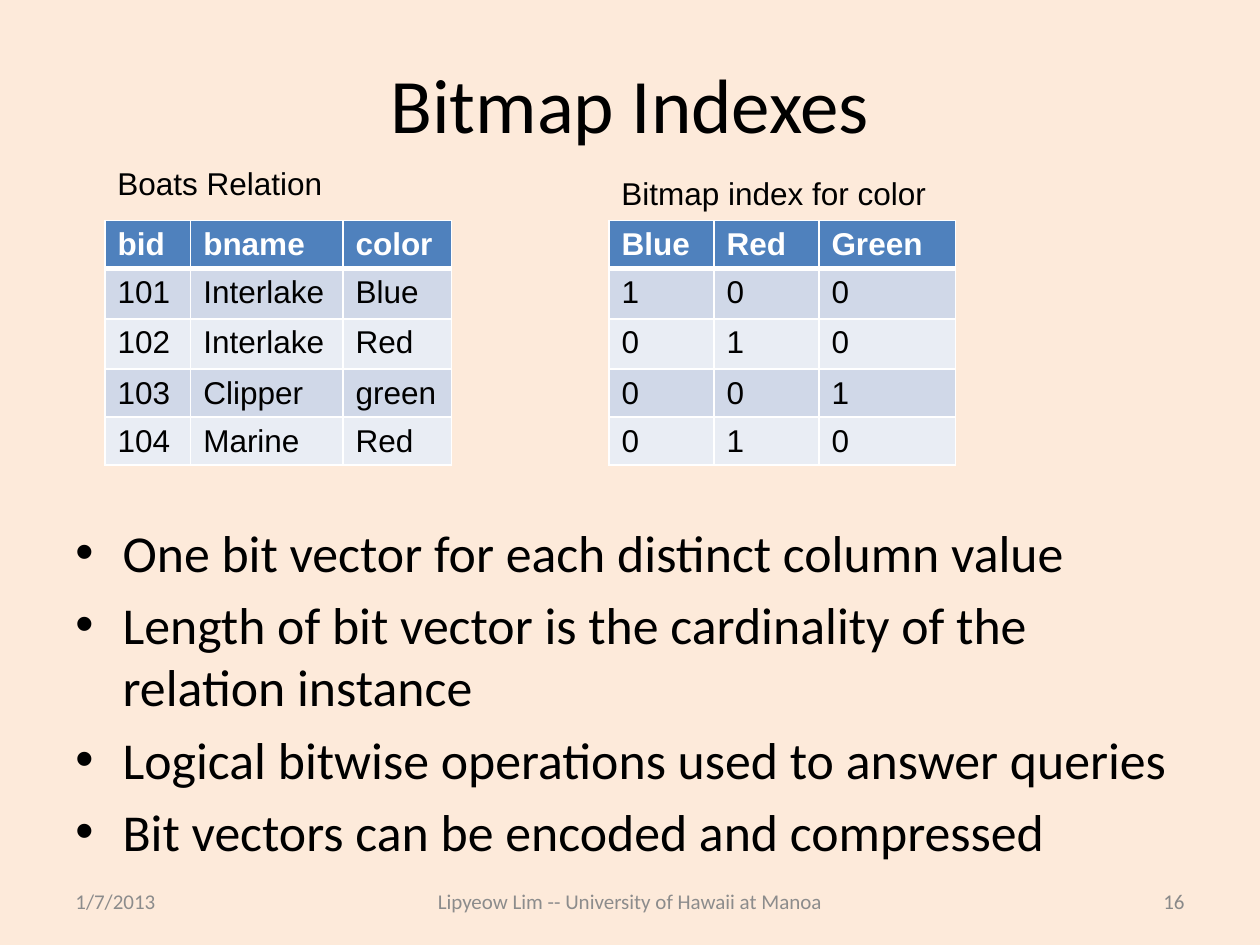
"""Build a slide on bitmap indexes."""
import dataclasses

import pptx
import pptx.dml.color
import pptx.enum.text
import pptx.oxml
import pptx.oxml.ns
import pptx.util

Pt = pptx.util.Pt
Align = pptx.enum.text.PP_ALIGN
Anchor = pptx.enum.text.MSO_ANCHOR
Wrap = pptx.enum.text.MSO_AUTO_SIZE


@dataclasses.dataclass(frozen=True)
class Theme:
    back: str = "FDEADA"
    ink: str = "000000"
    white: str = "FFFFFF"
    head: str = "4F81BD"
    bands: tuple = ("D0D8E8", "E9EDF4")
    gray: str = "8C8C8C"
    page: str = "898989"
    main: str = "Calibri"
    plain: str = "Arial"
    title: float = 44
    body: float = 29.6
    label: float = 18
    foot: float = 12


def tint(code):
    return pptx.dml.color.RGBColor.from_string(code)


def node(tag, inner="", **attrs):
    pairs = "".join(f' {key}="{val}"' for key, val in attrs.items())
    space = pptx.oxml.ns.nsdecls("a")
    return pptx.oxml.parse_xml(f"<a:{tag} {space}{pairs}>{inner}</a:{tag}>")


def write(frame, text, *, size, color, font, bold=False, align=Align.LEFT, bullet=False):
    for num, line in enumerate(text.split("\n")):
        para = frame.add_paragraph() if num else frame.paragraphs[0]
        para.alignment = align
        if bullet:
            props = para._p.get_or_add_pPr()
            props.set("marL", str(Pt(27)))
            props.set("indent", str(-Pt(27)))
            props.append(node("buFont", typeface="Arial"))
            props.append(node("buChar", char="•"))
            if num:
                para.space_before = Pt(5.9)
        run = para.add_run()
        run.text = line
        run.font.size = Pt(size)
        run.font.name = font
        run.font.bold = bold
        run.font.color.rgb = tint(color)


class Deck:
    def __init__(self, theme):
        self.theme = theme
        self.show = pptx.Presentation()
        self.show.slide_width, self.show.slide_height = Pt(720), Pt(540)
        self.slide = self.show.slides.add_slide(self.show.slide_layouts[6])
        fill = self.slide.background.fill
        fill.solid()
        fill.fore_color.rgb = tint(theme.back)

    def text(self, box, words, anchor=Anchor.TOP, wrap=True, **form):
        frame = self.slide.shapes.add_textbox(*map(Pt, box)).text_frame
        frame.word_wrap = wrap
        frame.vertical_anchor = anchor
        frame.auto_size = Wrap.NONE if wrap else Wrap.SHAPE_TO_FIT_TEXT
        write(frame, words, **form)

    def label(self, box, words):
        look = self.theme
        self.text(box, words, wrap=False, size=look.label, color=look.ink, font=look.plain)

    def foot(self, left, width, words, color, align):
        look = self.theme
        self.text((left, 500.4, width, 28.8), words, Anchor.MIDDLE,
                  size=look.foot, color=color, font=look.main, align=align)

    def edge(self, cell, row):
        line = f'<a:solidFill><a:srgbClr val="{self.theme.white}"/></a:solidFill>'
        heavy = {0: "lnB", 1: "lnT"}.get(row)
        props = cell._tc.get_or_add_tcPr()
        for spot, side in enumerate(("lnL", "lnR", "lnT", "lnB")):
            width = Pt(3 if side == heavy else 1)
            props.insert(spot, node(side, line, w=width))

    def table(self, left, widths, rows):
        look = self.theme
        high = Pt(144.72)
        frame = self.slide.shapes.add_table(
            len(rows), len(widths), Pt(left), Pt(126), Pt(sum(widths)), high)
        grid = frame.table
        for col, width in zip(grid.columns, widths):
            col.width = Pt(width)
        for row, tall in zip(grid.rows, (22.32, 28.8, 28.8, 22.32, 22.32)):
            row.height = Pt(tall)
        frame.height = high
        for y, row in enumerate(rows):
            top = y == 0
            for x, word in enumerate(row):
                cell = grid.cell(y, x)
                cell.fill.solid()
                cell.fill.fore_color.rgb = tint(look.head if top else look.bands[(y - 1) % 2])
                self.edge(cell, y)
                write(cell.text_frame, word, size=look.label, font=look.plain,
                      color=look.white if top else look.ink, bold=top)


def main():
    look = Theme()
    deck = Deck(look)
    deck.text((36, 21.6, 648, 74.2), "Bitmap Indexes", Anchor.MIDDLE,
              size=look.title, color=look.ink, font=look.main, align=Align.CENTER)
    points = (
        "One bit vector for each distinct column value",
        "Length of bit vector is the cardinality of the relation instance",
        "Logical bitwise operations used to answer queries",
        "Bit vectors can be encoded and compressed",
    )
    deck.text((36, 293.8, 648, 203.8), "\n".join(points),
              size=look.body, color=look.ink, font=look.main, bullet=True)

    deck.foot(36, 168, "1/7/2013", look.gray, Align.LEFT)
    deck.foot(216, 288, "Lipyeow Lim -- University of Hawaii at Manoa", look.gray, Align.CENTER)
    deck.foot(516, 168, "16", look.page, Align.RIGHT)

    boats = (
        ("bid", "bname", "color"),
        ("101", "Interlake", "Blue"),
        ("102", "Interlake", "Red"),
        ("103", "Clipper", "green"),
        ("104", "Marine", "Red"),
    )
    hues = ("Blue", "Red", "Green")
    bits = [[str(int(boat[2].lower() == hue.lower())) for hue in hues] for boat in boats[1:]]
    deck.table(60, (49, 87, 62), boats)
    deck.table(348, (60, 60, 78), [hues, *bits])
    deck.label((348, 96, 190, 28.8), "Bitmap index for color")
    deck.label((60, 90, 132.5, 28.8), "Boats Relation")
    deck.show.save("out.pptx")


if __name__ == "__main__":
    main()
